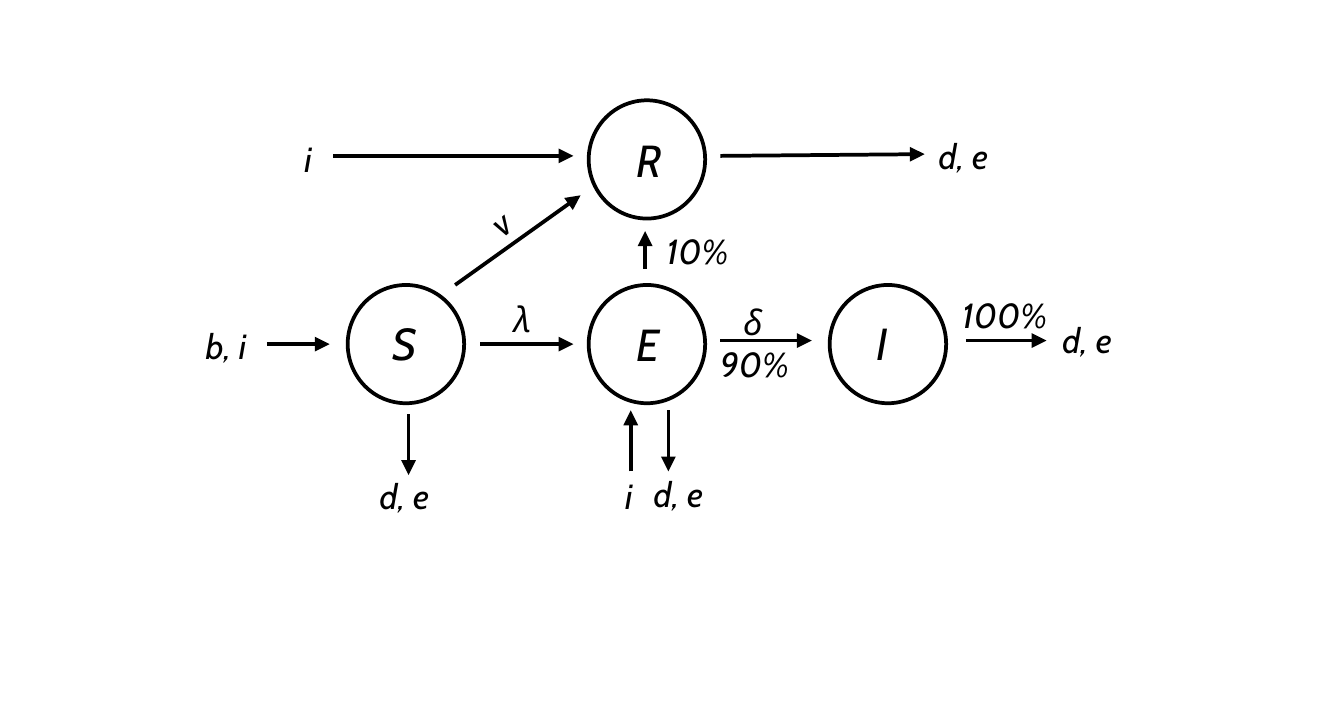
"""Builds a compartment diagram of S, E, I and R with their flows."""
from dataclasses import dataclass

from lxml.etree import SubElement
from pptx import Presentation
from pptx.dml.color import RGBColor
from pptx.enum.shapes import MSO_CONNECTOR, MSO_SHAPE
from pptx.enum.text import MSO_AUTO_SIZE
from pptx.oxml.ns import qn
from pptx.util import Inches, Pt


@dataclass(frozen=True)
class Theme:
    """Colours, font and sizes of the diagram."""
    ink: RGBColor = RGBColor(0, 0, 0)
    font: str = "Cabin"
    state_size: int = 18
    rate_size: int = 14
    stroke: float = 1.5


def apply(target, values):
    """Sets each named attribute of the target."""
    for name, value in values.items():
        setattr(target, name, value)


class Diagram:
    """Draws diagram parts on a grid of 75 columns by 40 rows."""

    COLUMNS, ROWS = 75, 40

    def __init__(self, deck, theme):
        """Adds a blank slide and keeps the style."""
        self.theme = theme
        self.slide = deck.slides.add_slide(deck.slide_layouts[6])
        self.column = deck.slide_width / self.COLUMNS
        self.row = deck.slide_height / self.ROWS

    def place(self, *lengths):
        """Turns alternating columns and rows into slide lengths."""
        units = (self.column, self.row)
        return [round(length * units[n % 2]) for n, length in enumerate(lengths)]

    def outline(self, line):
        """Gives a line the theme's stroke."""
        line.color.rgb = self.theme.ink
        line.width = Pt(self.theme.stroke)

    def label(self, text, box, size=None, rotation=0, indent=0):
        """Adds an italic text box."""
        label = self.slide.shapes.add_textbox(*self.place(*box))
        label.rotation = rotation
        frame = label.text_frame
        apply(frame, {"word_wrap": True, "auto_size": MSO_AUTO_SIZE.SHAPE_TO_FIT_TEXT})
        paragraph = frame.paragraphs[0]
        if indent:
            paragraph._p.get_or_add_pPr().set("indent", str(round(indent * self.column)))
        run = paragraph.add_run()
        run.text = text
        apply(run.font, {"name": self.theme.font, "italic": True,
                         "size": Pt(size or self.theme.rate_size)})
        run.font.color.rgb = self.theme.ink

    def state(self, letter, left, top, inset):
        """Adds a circle with its letter."""
        circle = self.slide.shapes.add_shape(
            MSO_SHAPE.OVAL, *self.place(left, top, 6.5, 6.6))
        circle.shadow.inherit = False
        circle.fill.background()
        self.outline(circle.line)
        box = (left + inset[0], top + inset[1], 7.5, 4)
        self.label(letter, box, self.theme.state_size)

    def flow(self, *ends):
        """Adds an arrow from the first point to the second."""
        arrow = self.slide.shapes.add_connector(MSO_CONNECTOR.STRAIGHT, *self.place(*ends))
        self.outline(arrow.line)
        SubElement(arrow.line._get_or_add_ln(), qn("a:tailEnd"), type="triangle")
        SubElement(arrow._element.spPr, qn("a:effectLst"))


def main():
    """Builds and saves the slide."""
    deck = Presentation()
    apply(deck, {"slide_width": Inches(7.5), "slide_height": Inches(4)})
    diagram = Diagram(deck, Theme())

    first, pitch, upper, lower = 19.4, 13.45, 5.6, 15.9
    for letter, step, top, inset in (
        ("S", 0, lower, (1.5, 1.2)),
        ("E", 1, lower, (1.7, 1.3)),
        ("I", 2, lower, (1.6, 1.2)),
        ("R", 1, upper, (1.7, 1.3)),
    ):
        diagram.state(letter, first + step * pitch, top, inset)

    for ends in (
        (14.9, 19.2, 18.4, 19.2),
        (26.8, 19.2, 32, 19.2),
        (40.2, 19, 45.3, 19),
        (53.9, 19, 58.4, 19),
        (25.4, 15.9, 32.4, 10.9),
        (36, 15, 36, 12.9),
        (18.6, 8.7, 32, 8.7),
        (40.2, 8.7, 51.6, 8.6),
        (22.8, 23.1, 22.8, 26.5),
        (35.2, 26.3, 35.2, 22.9),
        (37.3, 22.9, 37.3, 26.3),
    ):
        diagram.flow(*ends)

    height = 3.4
    for text, left, top, width in (
        ("b, i", 10.5, 17.6, 5.6),
        ("λ", 27.7, 16.1, 5.6),
        ("10%", 36.2, 12.3, 7.9),
        ("100%", 52.7, 15.9, 7.6),
        ("d, e", 58.3, 17.3, 5.6),
        ("d, e", 20.2, 26, 6.1),
        ("d, e", 35.5, 25.9, 5.6),
        ("i", 33.9, 26, 2.6),
        ("i", 16, 7.2, 2.6),
        ("d, e", 51.4, 7, 5.6),
    ):
        diagram.label(text, (left, top, width, height))
    diagram.label("v", (26.5, 10.7, 3, height), rotation=320.1)
    diagram.label("δ 90%", (39.2, 16.3, 7.9, 5.7), indent=1.3)

    deck.save("out.pptx")


if __name__ == "__main__":
    main()
